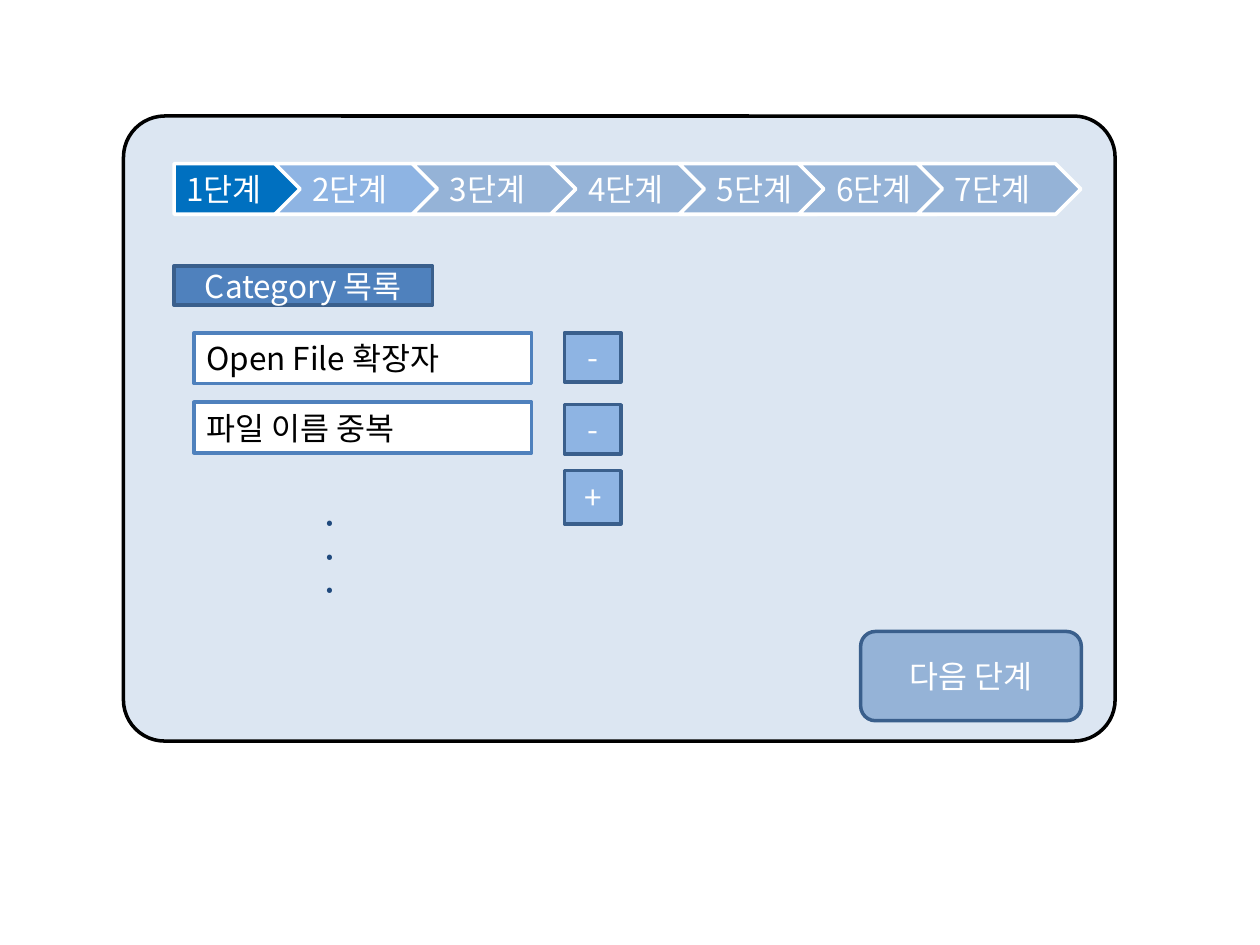
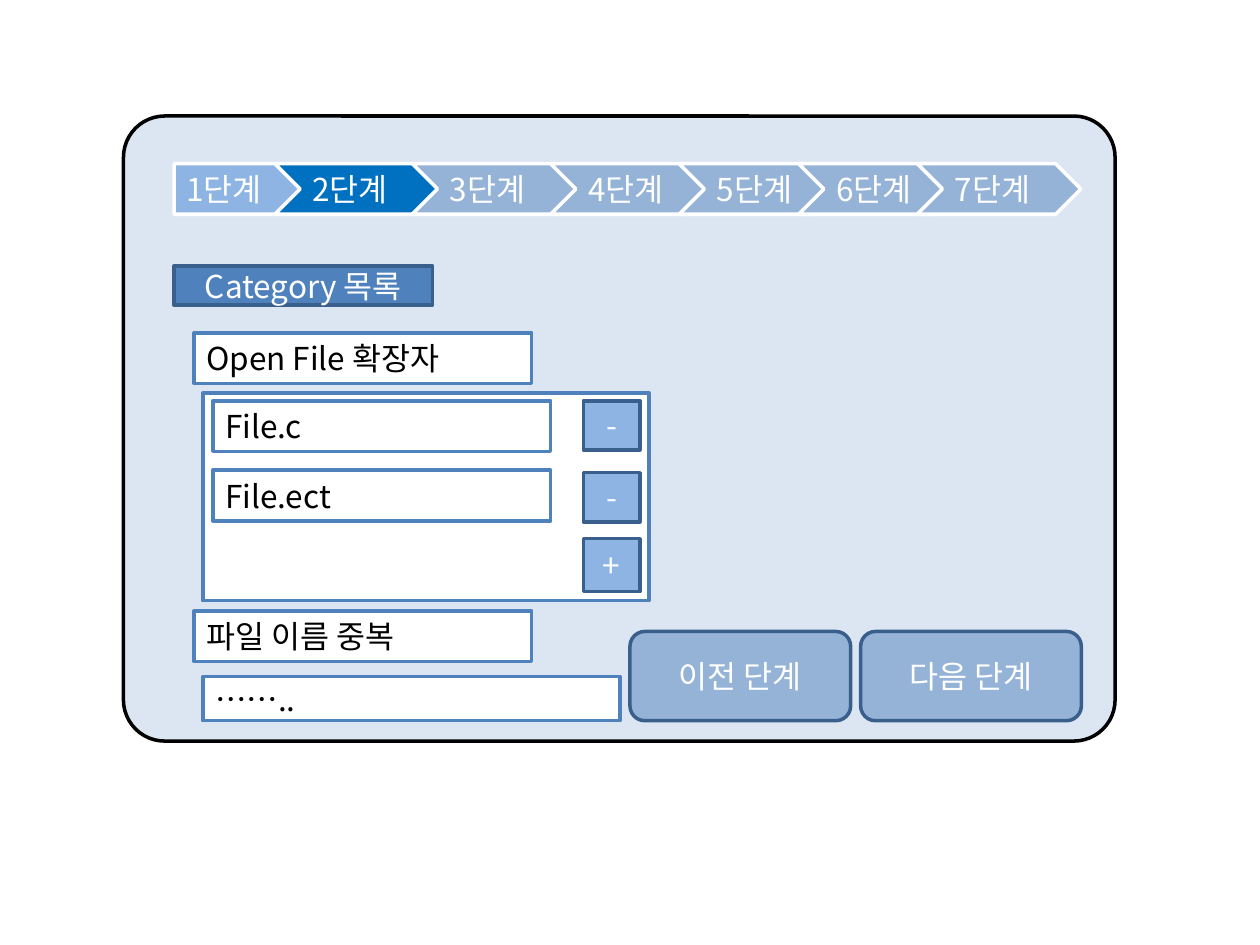
from lxml.etree import SubElement
from pptx import Presentation
from pptx.dml.color import RGBColor
from pptx.enum.shapes import MSO_SHAPE
from pptx.enum.text import MSO_ANCHOR, MSO_AUTO_SIZE, PP_ALIGN
from pptx.oxml.ns import qn
from pptx.util import Cm, Pt

FONT = "Noto Sans CJK KR"
STEPS = [
    ("1단계", 3.51, 2.57),
    ("2단계", 5.54, 3.35),
    ("3단계", 8.31, 3.4),
    ("4단계", 11.1, 3.3),
    ("5단계", 13.69, 3.3),
    ("6단계", 16.1, 3.3),
    ("7단계", 18.49, 3.3),
]
HEADING = "Category 목록"
CATEGORIES = ["Open File 확장자", "파일 이름 중복"]
FILES = ["File.c", "File.ect"]
MORE_FILES = "…….."
MORE_CATEGORIES = [".", ".", "."]
PREVIOUS, NEXT = "이전 단계", "다음 단계"

WHITE, BLACK = "FFFFFF", "000000"
PANEL, ACTIVE, OPEN, LATER = "DCE6F2", "0070C0", "8EB4E3", "95B3D7"
ACCENT, EDGE, DOTS = "4F81BD", "3A5F8C", "1F497D"

FIELD_WIDTH, FIELD_HEIGHT, FIELD_PITCH = 6.81, 1.02, 1.4
BUTTON_WIDTH, BUTTON_SHIFT, BUTTON_PITCH = 1.14, 7.47, 1.45
CATEGORY_LEFT, CATEGORY_TOP = 3.91, 6.71
NEXT_LEFT, PREVIOUS_LEFT = 17.35, 12.7


def color(value):
    return RGBColor.from_string(value)


def style(paragraph, text, text_color, size=18, bold=False, align=PP_ALIGN.LEFT):
    paragraph.text = text
    paragraph.alignment = align
    font = paragraph.font
    font.name, font.size, font.bold = FONT, Pt(size), bold
    font.color.rgb = color(text_color)
    SubElement(paragraph._p.pPr.find(qn("a:defRPr")), qn("a:ea"), typeface=FONT)


def box(slide, kind, place, fill, line, text="", text_color=WHITE,
        align=PP_ALIGN.CENTER, anchor=MSO_ANCHOR.MIDDLE):
    shape = slide.shapes.add_shape(kind, *map(Cm, place))
    shape.shadow.inherit = False
    shape.fill.solid()
    shape.fill.fore_color.rgb = color(fill)
    shape.line.color.rgb = color(line)
    shape.line.width = Pt(2)
    if text:
        shape.text_frame.vertical_anchor = anchor
        style(shape.text_frame.paragraphs[0], text, text_color, align=align)
    return shape


def field(slide, text, left, top, width=FIELD_WIDTH, height=FIELD_HEIGHT):
    box(slide, MSO_SHAPE.RECTANGLE, (left, top, width, height), WHITE, ACCENT,
        text, BLACK, PP_ALIGN.LEFT)


def button(slide, sign, left, top, height):
    box(slide, MSO_SHAPE.RECTANGLE, (left, top, BUTTON_WIDTH, height), OPEN, EDGE, sign)


def editable_list(slide, entries, left, top):
    button_left = left + BUTTON_SHIFT
    for row, entry in enumerate(entries):
        field(slide, entry, left, top + row * FIELD_PITCH)
        button(slide, "-", button_left, top + row * BUTTON_PITCH, 0.99)
    button(slide, "+", button_left, top + len(entries) * 1.39, 1.07)


def navigation(slide, text, left):
    box(slide, MSO_SHAPE.ROUNDED_RECTANGLE, (left, 12.73, 4.45, 1.8), LATER, EDGE, text)


def step_color(step, current):
    if step == current:
        return ACTIVE
    return OPEN if step < 2 else LATER


def wizard_slide(presentation, current):
    slide = presentation.slides.add_slide(presentation.slide_layouts[6])
    panel = box(slide, MSO_SHAPE.ROUNDED_RECTANGLE, (2.49, 2.34, 19.99, 12.6), PANEL, BLACK)
    panel.adjustments[0] = 0.066
    for step, (label, left, width) in enumerate(STEPS):
        kind = MSO_SHAPE.CHEVRON if step else MSO_SHAPE.PENTAGON
        box(slide, kind, (left, 3.3, width, 1.02), step_color(step, current), WHITE,
            label, align=PP_ALIGN.LEFT, anchor=MSO_ANCHOR.TOP)
    box(slide, MSO_SHAPE.RECTANGLE, (3.51, 5.36, 5.21, 0.79), ACCENT, EDGE, HEADING)
    navigation(slide, NEXT, NEXT_LEFT)
    return slide


def continuation_dots(slide):
    dots = slide.shapes.add_textbox(Cm(5.41), Cm(11.07), Cm(2.57), Cm(0.41))
    dots.rotation = 90
    frame = dots.text_frame
    frame.word_wrap = False
    frame.auto_size = MSO_AUTO_SIZE.SHAPE_TO_FIT_TEXT
    frame._txBody.bodyPr.set("vert", "eaVert")
    for row, dot in enumerate(MORE_CATEGORIES):
        paragraph = frame.add_paragraph() if row else frame.paragraphs[0]
        style(paragraph, dot, DOTS, size=16, bold=True)


def category_slide(presentation):
    slide = wizard_slide(presentation, 0)
    editable_list(slide, CATEGORIES, CATEGORY_LEFT, CATEGORY_TOP)
    continuation_dots(slide)


def file_slide(presentation):
    slide = wizard_slide(presentation, 1)
    for category, top in zip(CATEGORIES, (CATEGORY_TOP, 12.32)):
        field(slide, category, CATEGORY_LEFT, top)
    field(slide, "", 4.09, 7.92, 8.99, 4.19)
    editable_list(slide, FILES, 4.29, 8.08)
    field(slide, MORE_FILES, 4.09, 13.64, 8.41, 0.89)
    navigation(slide, PREVIOUS, PREVIOUS_LEFT)


def main():
    presentation = Presentation()
    presentation.slide_width, presentation.slide_height = Cm(25.4), Cm(19.05)
    category_slide(presentation)
    file_slide(presentation)
    presentation.save("out.pptx")


if __name__ == "__main__":
    main()
